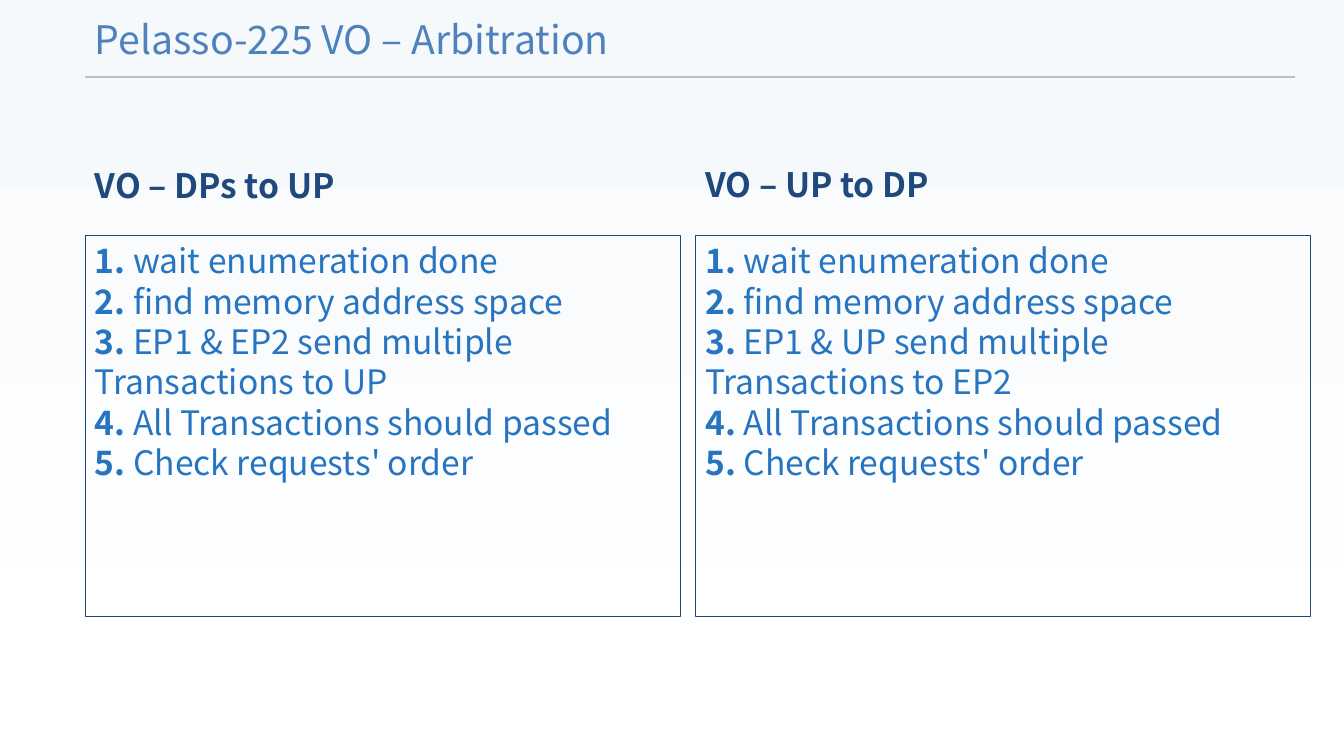
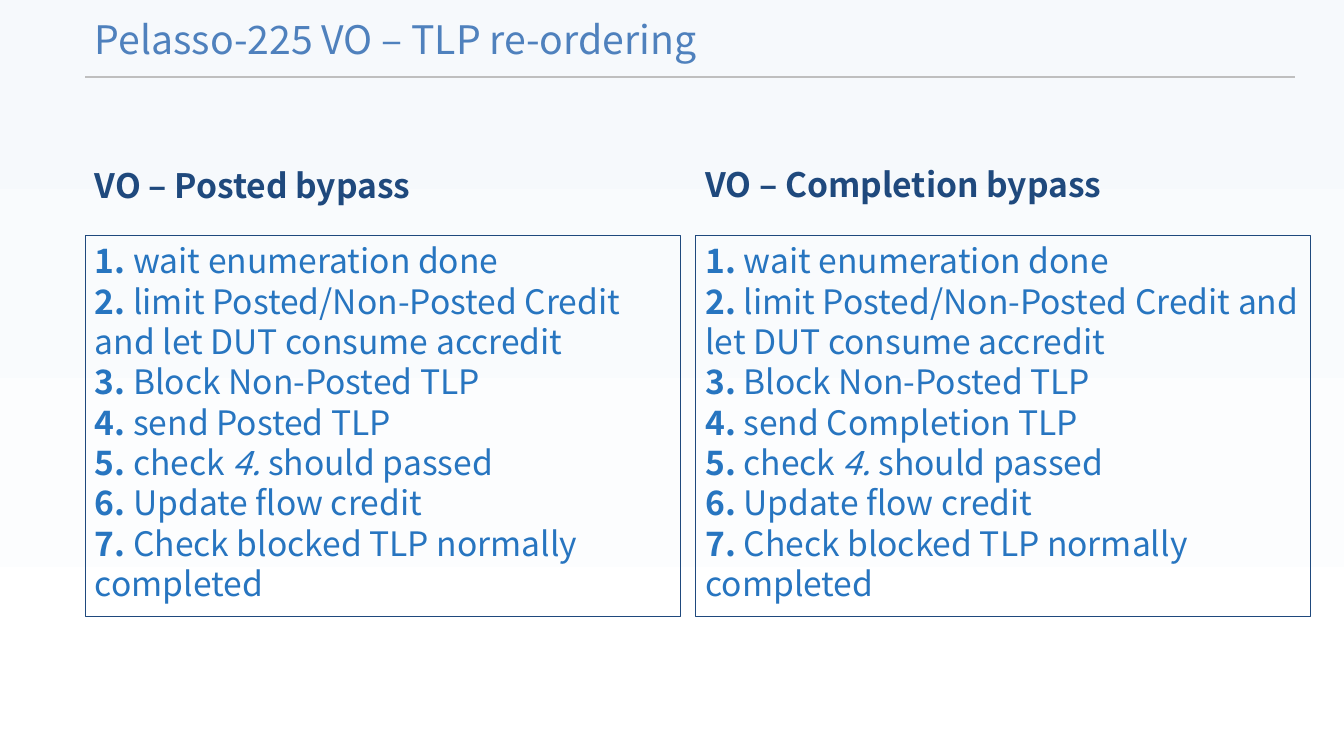
import pptx
import pptx.util
import pptx.dml.color
import pptx.enum.shapes
import pptx.enum.text
import pptx.oxml

PX = 914400 / 100.7
FONT = "Noto Sans CJK SC"
TITLE_BLUE = pptx.dml.color.RGBColor(0x4F, 0x81, 0xBD)
NAVY = pptx.dml.color.RGBColor(0x1F, 0x49, 0x7D)
STEP_BLUE = pptx.dml.color.RGBColor(0x27, 0x75, 0xC0)
RULE_GREY = pptx.dml.color.RGBColor(0xBF, 0xBF, 0xBF)
PALE_BLUE = pptx.dml.color.RGBColor(0xF6, 0xF9, 0xFC)
WHITE = pptx.dml.color.RGBColor(0xFF, 0xFF, 0xFF)

TITLE = {"size": pptx.util.Pt(28), "color": TITLE_BLUE}
HEADING = {"size": pptx.util.Pt(24), "color": NAVY, "bold": True}
NUMBER = {"size": pptx.util.Pt(24), "color": STEP_BLUE, "bold": True}
STEP = {"size": pptx.util.Pt(24), "color": STEP_BLUE, "bold": False}
REFERENCE = {**STEP, "italic": True}

MIDDLE = pptx.enum.text.MSO_ANCHOR.MIDDLE
BOTTOM = pptx.enum.text.MSO_ANCHOR.BOTTOM

COLUMNS = [
    {"left": 85, "heading_top": 140, "heading_width": 571, "box_width": 595},
    {"left": 695, "heading_top": 139, "heading_width": 600, "box_width": 615},
]


def arbitration_steps(source, target):
    return [
        "wait enumeration done",
        "find memory address space",
        f"EP1 & {source} send multiple Transactions to {target}",
        "All Transactions should passed",
        "Check requests' order",
    ]


BYPASS_STEPS = [
    "wait enumeration done",
    "limit Posted/Non-Posted Credit and let DUT consume accredit",
    "Block Non-Posted TLP",
    "send {} TLP",
    "check |4. |should passed",
    "Update flow credit",
    "Check blocked TLP normally completed",
]

SLIDES = [
    ("Pelasso-225 VO – Arbitration", [
        ("VO – DPs to UP", arbitration_steps("EP2", "UP")),
        ("VO – UP to DP", arbitration_steps("UP", "EP2")),
    ]),
    ("Pelasso-225 VO – TLP re-ordering", [
        (f"VO – {kind} bypass", [step.format(kind) for step in BYPASS_STEPS])
        for kind in ("Posted", "Completion")
    ]),
]


def add_run(paragraph, text, style):
    run = paragraph.add_run()
    run.text = text
    run.font.name = FONT
    for name, value in style.items():
        if name == "color":
            run.font.color.rgb = value
        else:
            setattr(run.font, name, value)


presentation = pptx.Presentation()
presentation.slide_width = round(1343 * PX)
presentation.slide_height = round(755 * PX)

background = presentation.slide_master.background.fill
background.gradient()
background.gradient_angle = 270
for stop, color, position in zip(background.gradient_stops, (PALE_BLUE, WHITE), (0, 1)):
    stop.color.rgb = color
    stop.position = position

for title, sections in SLIDES:
    slide = presentation.slides.add_slide(presentation.slide_layouts[6])

    rule = slide.shapes.add_connector(
        pptx.enum.shapes.MSO_CONNECTOR.STRAIGHT,
        *[round(length * PX) for length in (85, 77, 1294, 77)])
    rule.line.color.rgb = RULE_GREY
    rule.line.width = pptx.util.Pt(1)
    rule.element.spPr.append(pptx.oxml.parse_xml(
        '<a:effectLst xmlns:a="http://schemas.openxmlformats.org/drawingml/2006/main"/>'))

    labels = [(title, TITLE, MIDDLE, (85, 0, 1064, 77))]
    for column, (heading, steps) in zip(COLUMNS, sections):
        labels.append((heading, HEADING, BOTTOM, (
            column["left"], column["heading_top"], column["heading_width"], 70)))

    for text, style, anchor, bounds in labels:
        label = slide.shapes.add_textbox(*[round(length * PX) for length in bounds])
        label.text_frame.word_wrap = True
        label.text_frame.vertical_anchor = anchor
        add_run(label.text_frame.paragraphs[0], text, style)

    for column, (heading, steps) in zip(COLUMNS, sections):
        bounds = (column["left"], 235, column["box_width"], 381)
        box = slide.shapes.add_shape(
            pptx.enum.shapes.MSO_SHAPE.RECTANGLE,
            *[round(length * PX) for length in bounds])
        box.shadow.inherit = False
        box.fill.background()
        box.line.color.rgb = NAVY
        box.line.width = pptx.util.Pt(0.75)
        frame = box.text_frame
        frame.word_wrap = True
        frame.vertical_anchor = pptx.enum.text.MSO_ANCHOR.TOP
        for number, step in enumerate(steps, 1):
            paragraph = frame.paragraphs[0] if number == 1 else frame.add_paragraph()
            paragraph.alignment = pptx.enum.text.PP_ALIGN.LEFT
            paragraph.line_spacing = pptx.util.Pt(28.8)
            add_run(paragraph, f"{number}.", NUMBER)
            for index, part in enumerate(f" {step}".split("|")):
                add_run(paragraph, part, REFERENCE if index == 1 else STEP)

presentation.save("out.pptx")
